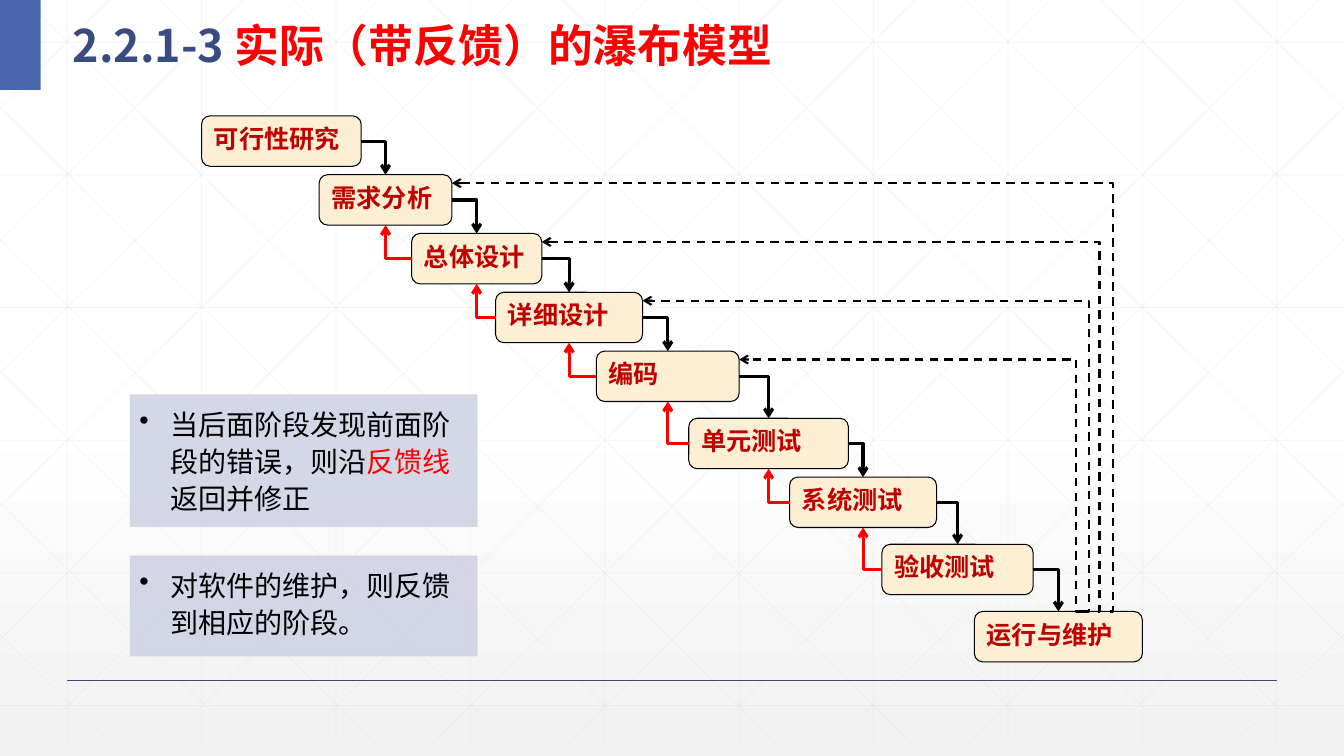
from dataclasses import dataclass

from lxml.etree import SubElement
from pptx import Presentation
from pptx.dml.color import RGBColor
from pptx.enum.dml import MSO_LINE
from pptx.enum.shapes import MSO_CONNECTOR, MSO_SHAPE
from pptx.enum.text import MSO_ANCHOR, MSO_AUTO_SIZE, PP_ALIGN
from pptx.oxml.ns import qn
from pptx.shapes.autoshape import Shape
from pptx.shapes.connector import Connector
from pptx.slide import Slide
from pptx.util import Inches, Length, Pt

# The slide is a grid of 160 columns by 90 rows, twelve to the inch.
COLUMNS, ROWS = 160, 90
STAGE_TOP, STAGE_HEIGHT = 13.8, 6
Point = tuple[float, float]


@dataclass(frozen=True)
class Theme:
    heading: str = "Noto Sans CJK SC"
    body: str = "Arial"
    stage: str = "Times New Roman"
    title_size: int = 32
    note_size: int = 20
    stage_size: int = 18
    navy: RGBColor = RGBColor(0x38, 0x4C, 0x81)
    accent: RGBColor = RGBColor(0x4A, 0x66, 0xAC)
    red: RGBColor = RGBColor(0xFF, 0x00, 0x00)
    dark_red: RGBColor = RGBColor(0xC0, 0x00, 0x00)
    black: RGBColor = RGBColor(0x00, 0x00, 0x00)
    white: RGBColor = RGBColor(0xFF, 0xFF, 0xFF)
    pale: RGBColor = RGBColor(0xF2, 0xF2, 0xF2)
    grid: RGBColor = RGBColor(0xD9, 0xD9, 0xD9)
    cream: RGBColor = RGBColor(0xFC, 0xEF, 0xD3)
    lavender: RGBColor = RGBColor(0xD0, 0xD3, 0xE3)


@dataclass(frozen=True)
class Stage:
    label: str
    left: float
    row: float
    width: float

    @property
    def top(self) -> float:
        return STAGE_TOP + self.row

    @property
    def bottom(self) -> float:
        return self.top + STAGE_HEIGHT

    @property
    def middle(self) -> float:
        return self.top + STAGE_HEIGHT / 2

    @property
    def right(self) -> float:
        return self.left + self.width

    @property
    def center(self) -> float:
        return self.left + self.width / 2


@dataclass(frozen=True)
class Feedback:
    """A dashed way back from maintenance, rising along its own lane."""
    target: int
    start: float
    lane: float


@dataclass(frozen=True)
class Note:
    top: float
    height: float
    runs: tuple[tuple[str, RGBColor], ...]


THEME = Theme()
STAGES = (
    Stage("可行性研究", 24, 0, 19),
    Stage("需求分析", 38, 7, 15.8),
    Stage("总体设计", 49, 14, 15.5),
    Stage("详细设计", 59, 21, 17.5),
    Stage("编码", 71, 28, 17),
    Stage("单元测试", 82, 36, 19),
    Stage("系统测试", 94, 43, 17.5),
    Stage("验收测试", 105, 51, 18),
    Stage("运行与维护", 116, 59, 20),
)
FEEDBACKS = (
    Feedback(4, 129, 128.14),
    Feedback(3, 129, 129.68),
    Feedback(2, 130.7, 130.92),
    Feedback(1, 132.1, 132.48),
)
NOTES = (
    Note(47, 15.7, (("当后面阶段发现前面阶段的错误，则沿", THEME.black),
                    ("反馈线", THEME.red), ("返回并修正", THEME.black))),
    Note(66.2, 11.9, (("对软件的维护，则反馈到相应的阶段。", THEME.black),)),
)


def cells(count: float) -> Length:
    return Inches(count / 12)


def set_opacity(drawn: Shape | Connector, percent: int) -> None:
    for color in drawn.element.spPr.iter(qn("a:srgbClr")):
        SubElement(color, qn("a:alpha"), val=str(percent * 1000))


def add_line(slide: Slide, start: Point, end: Point, color: RGBColor, width: float,
             kind: MSO_CONNECTOR = MSO_CONNECTOR.STRAIGHT) -> Connector:
    line = slide.shapes.add_connector(kind, *map(cells, (*start, *end)))
    line.line.color.rgb = color
    line.line.width = Pt(width)
    SubElement(line.element.spPr, qn("a:effectLst"))
    return line


def add_elbow(slide: Slide, start: Point, end: Point, color: RGBColor, width: float,
              lane: float | None = None) -> None:
    """Arrow with one bend, or a dashed one with two when a lane is given."""
    backward = end[0] < start[0]
    corners = (end, start) if backward else (start, end)
    elbow = add_line(slide, *corners, color, width, MSO_CONNECTOR.ELBOW)
    properties = elbow.element.spPr
    if backward:
        properties.find(qn("a:xfrm")).set("rot", "10800000")
    geometry = properties.find(qn("a:prstGeom"))
    if lane is None:
        geometry.set("prst", "bentConnector2")
    else:
        share = (start[0] - lane) / (start[0] - end[0])
        SubElement(geometry.find(qn("a:avLst")), qn("a:gd"), name="adj1",
                   fmla=f"val {round(share * 100000)}")
        elbow.line.dash_style = MSO_LINE.DASH
    SubElement(properties.find(qn("a:ln")), qn("a:tailEnd"), type="arrow")


def add_box(slide: Slide, kind: MSO_SHAPE, left: float, top: float, width: float,
            height: float, fill: RGBColor, outline: RGBColor, weight: float) -> Shape:
    box = slide.shapes.add_shape(kind, *map(cells, (left, top, width, height)))
    box.shadow.inherit = False
    box.fill.solid()
    box.fill.fore_color.rgb = fill
    box.line.color.rgb = outline
    box.line.width = Pt(weight)
    box.text_frame.word_wrap = True
    box.text_frame.vertical_anchor = MSO_ANCHOR.TOP
    box.text_frame.paragraphs[0].alignment = PP_ALIGN.LEFT
    return box


def add_backdrop(slide: Slide) -> None:
    fill = slide.background.fill
    fill.gradient()
    fill.gradient_angle = 270
    for stop, position, color in zip(fill.gradient_stops, (0.53, 1), (THEME.white, THEME.pale)):
        stop.position, stop.color.rgb = position, color
    depth, slope = 88.4, 0.989
    lines = [((8 + 16 * i, 0), (8 + 16 * i, depth)) for i in range(10)]
    lines += [((0, 5 + 15.8 * i), (COLUMNS, 5 + 15.8 * i)) for i in range(6)]
    diagonals = []
    for i in range(10):
        start = 3 + 16 * i
        run = min(depth / slope, COLUMNS - start)
        diagonals.append(((start, 0), (start + run, run * slope)))
    for i in range(5):
        run = 13 + 15.87 * i
        diagonals.append(((run, depth), (0, depth - run * slope)))
    mirrored = [tuple((COLUMNS - x, y) for x, y in ends) for ends in diagonals]
    for start, end in lines + diagonals + mirrored:
        set_opacity(add_line(slide, start, end, THEME.grid, 0.5), 25)
    add_line(slide, (8, 81), (152, 81), THEME.navy, 1)
    add_box(slide, MSO_SHAPE.RECTANGLE, 0, 0, 4.84, 10.7,
            THEME.accent, THEME.accent, 0).line.fill.background()


def write_title(slide: Slide) -> None:
    title = slide.shapes.title
    slide.shapes.element.append(title.element)
    title.left, title.top, title.width, title.height = map(cells, (7.44, 0, 109.4, 8.75))
    frame = title.text_frame
    frame.auto_size, frame.vertical_anchor = MSO_AUTO_SIZE.NONE, MSO_ANCHOR.MIDDLE
    paragraph = frame.paragraphs[0]
    paragraph.alignment, paragraph.line_spacing = PP_ALIGN.LEFT, 1.3
    font = paragraph.font
    font.name, font.size, font.bold = THEME.heading, Pt(THEME.title_size), True
    for text, color in (("2.2.1-3 ", THEME.navy), ("实际（带反馈）的瀑布模型", THEME.red)):
        run = paragraph.add_run()
        run.text, run.font.color.rgb = text, color


def add_note(slide: Slide, note: Note) -> None:
    box = add_box(slide, MSO_SHAPE.RECTANGLE, 15.5, note.top, 41.3, note.height,
                  THEME.lavender, THEME.lavender, 0.5)
    set_opacity(box, 90)
    frame = box.text_frame
    frame.margin_left = frame.margin_top = Inches(0.09)
    frame.margin_right, frame.margin_bottom = Inches(0.12), Inches(0.14)
    paragraph = frame.paragraphs[0]
    paragraph.line_spacing = 1.1
    layout = paragraph._p.get_or_add_pPr()
    layout.set("marL", str(Inches(0.31)))
    layout.set("indent", str(-Inches(0.31)))
    SubElement(layout, qn("a:buChar"), char="•")
    paragraph.font.name, paragraph.font.size = THEME.body, Pt(THEME.note_size)
    for text, color in note.runs:
        run = paragraph.add_run()
        run.text, run.font.color.rgb = text, color


def add_stage(slide: Slide, stage: Stage) -> None:
    box = add_box(slide, MSO_SHAPE.ROUNDED_RECTANGLE, stage.left, stage.top, stage.width,
                  STAGE_HEIGHT, THEME.cream, THEME.black, 0.75)
    paragraph = box.text_frame.paragraphs[0]
    paragraph.text = stage.label
    font = paragraph.font
    font.name, font.size, font.bold = THEME.stage, Pt(THEME.stage_size), True
    font.color.rgb = THEME.dark_red


def add_waterfall(slide: Slide) -> None:
    for stage in STAGES:
        add_stage(slide, stage)
    for upper, lower in zip(STAGES, STAGES[1:]):
        add_elbow(slide, (upper.right, upper.middle), (lower.center, lower.top), THEME.black, 2.25)
    for upper, lower in zip(STAGES[1:-2], STAGES[2:-1]):
        add_elbow(slide, (lower.left, lower.middle), (upper.center, upper.bottom), THEME.red, 2.25)
    for feedback in FEEDBACKS:
        target = STAGES[feedback.target]
        add_elbow(slide, (feedback.start, STAGES[-1].top), (target.right, target.top + 1),
                  THEME.black, 1.5, feedback.lane)


def main() -> None:
    deck = Presentation()
    deck.slide_width, deck.slide_height = cells(COLUMNS), cells(ROWS)
    slide = deck.slides.add_slide(deck.slide_layouts[5])
    add_backdrop(slide)
    write_title(slide)
    for note in NOTES:
        add_note(slide, note)
    add_waterfall(slide)
    deck.save("out.pptx")


if __name__ == "__main__":
    main()
